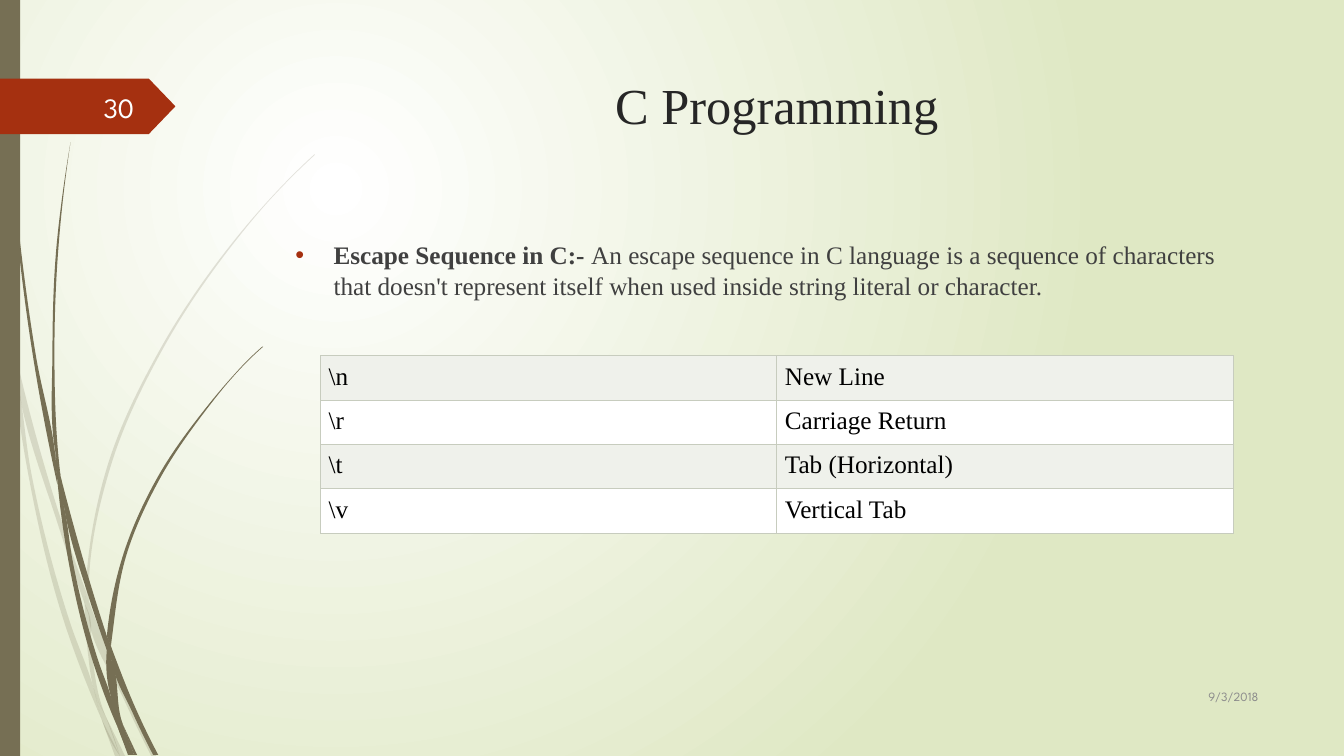
from math import dist
from lxml.etree import SubElement
from pptx import Presentation
from pptx.dml.color import RGBColor
from pptx.enum.shapes import MSO_SHAPE
from pptx.enum.text import MSO_ANCHOR, PP_ALIGN
from pptx.oxml import parse_xml
from pptx.oxml.ns import nsdecls, qn
from pptx.util import Inches, Pt

TITLE = "C Programming"
LEAD = "Escape Sequence in C:- "
BODY = ("An escape sequence in C language is a sequence of characters that "
        "doesn't represent itself when used inside string literal or character.")
CODES = [("\\n", "New Line"), ("\\r", "Carriage Return"),
         ("\\t", "Tab (Horizontal)"), ("\\v", "Vertical Tab")]
DATE, PAGE = "9/3/2018", "30"

THEME = dict(
    serif="Times New Roman", sans="League Spartan",
    title=36, text=18, page=20, date=9,
    ink="262626", body="404040", cell="000000", grey="8C8C8C", light="FEFFFF",
    stem="766F54", tag="A53010", glow="FFFFFF", field="DFE8C4",
    rule="C7CCBE", bands=("EFF1EB", "FFFFFF"))
WIDE, HIGH = 13.33, 7.5
LEFT, SPAN = 2.83, 9.75  # text column

# Each blade of grass is a pair of edges, both running from tip to root.
PALE = [
    ([(0, 2.82), (.09, 3.22), (.11, 3.5)], [(0, 2.99), (.1, 3.44), (.11, 3.5)]),
    ([(.14, 3.45), (.17, 3.76), (.58, 5.22), (.84, 5.99)],
     [(.14, 3.45), (.62, 5.2), (.85, 5.86)]),
    ([(.88, 5.96), (.88, 6.1), (1.23, 6.94), (1.5, 7.5)],
     [(.88, 5.96), (.92, 6.07), (1.27, 6.92), (1.55, 7.5)]),
    ([(1.05, 7.11), (1.19, 7.5)], [(1.05, 7.11), (1.24, 7.5)]),
    ([(.11, 3.5), (.28, 4.7), (.65, 6.21), (.92, 6.93), (1.01, 7.14)],
     [(.11, 3.5), (.17, 3.76), (.31, 4.69), (.7, 6.19), (.93, 6.83),
      (.99, 7.07), (1.01, 7.14)]),
    ([(.84, 5.99), (.87, 6.46), (.93, 6.83), (.96, 6.92), (1.05, 7.11)],
     [(.84, 5.99), (.88, 6.08), (.91, 6.46), (1.03, 7.06), (1.05, 7.11)]),
    ([(3.12, 1.53), (2.89, 1.75), (2.68, 1.97), (2.28, 2.44), (1.58, 3.48),
      (1.07, 4.61), (.85, 5.84)],
     [(3.12, 1.54), (2.9, 1.75), (2.68, 1.98), (2.29, 2.45), (1.6, 3.49),
      (1.1, 4.62), (.88, 5.84), (.88, 5.96)]),
    ([(1.01, 7.14), (1.14, 7.5)], [(1.01, 7.14), (1.19, 7.5)]),
    ([(.85, 5.86), (.84, 5.99)], [(.88, 5.96), (.88, 6.1)]),
    ([(.93, 6.83), (.99, 7.07), (1.01, 7.14), (1.19, 7.5)],
     [(.93, 6.83), (.96, 6.92), (1.05, 7.11), (1.19, 7.5)]),
]
DARK = [
    ([(.03, 0), (.04, .48), (.07, 1.1), (.17, 2.33), (.33, 3.55), (.57, 4.81)],
     [(.04, 0), (.05, .48), (.08, 1.09), (.19, 2.32), (.36, 3.55), (.55, 4.53),
      (.57, 4.81)]),
    ([(.6, 4.72), (.64, 5.05), (.88, 5.92), (1.06, 6.45)],
     [(.6, 4.72), (.93, 5.9), (1.06, 6.31)]),
    ([(1.1, 6.41), (1.11, 6.56), (1.32, 7.08), (1.52, 7.49)],
     [(1.1, 6.41), (1.13, 6.49), (1.36, 7.06), (1.57, 7.49)]),
    ([(.57, 4.77), (.68, 5.57), (.93, 6.59), (1.11, 7.08), (1.17, 7.22)],
     [(.57, 4.77), (.64, 5.05), (.72, 5.56), (.98, 6.57), (1.1, 6.91),
      (1.17, 7.22)]),
    ([(.7, 1.41), (.62, 1.93), (.56, 2.45), (.52, 3.49), (.55, 4.49), (.6, 4.72)],
     [(.7, 1.41), (.63, 1.93), (.58, 2.45), (.54, 3.49), (.58, 4.53), (.6, 4.72)]),
    ([(1.22, 7.19), (1.33, 7.49)], [(1.22, 7.19), (1.36, 7.49)]),
    ([(.55, 4.49), (.57, 4.77), (.64, 5.05)], [(.55, 4.49), (.6, 4.72), (.64, 5.05)]),
    ([(2.6, 3.44), (2.45, 3.58), (2.31, 3.73), (2.04, 4.05), (1.56, 4.74),
      (1.22, 5.51), (1.06, 6.31)],
     [(2.61, 3.44), (2.45, 3.59), (2.31, 3.74), (2.05, 4.06), (1.58, 4.76),
      (1.25, 5.52), (1.11, 6.33), (1.1, 6.41)]),
    ([(1.17, 7.22), (1.27, 7.49)], [(1.17, 7.22), (1.31, 7.49)]),
    ([(1.06, 6.45), (1.1, 6.91), (1.22, 7.19)],
     [(1.06, 6.45), (1.11, 6.56), (1.21, 7.16), (1.22, 7.19)]),
    ([(1.06, 6.31), (1.06, 6.45), (1.11, 6.56)],
     [(1.06, 6.31), (1.1, 6.41), (1.11, 6.56)]),
    ([(1.1, 6.91), (1.17, 7.22), (1.3, 7.49)],
     [(1.1, 6.91), (1.22, 7.19), (1.33, 7.49)]),
]


def color(name):
    """Look up a theme colour."""
    return RGBColor.from_string(THEME[name])


def bends(knots):
    """Give the two Bezier handles of each step along the knots."""
    steps = list(zip(knots, knots[1:]))
    gaps = [dist(p, q) for p, q in steps]
    rates = [[(b - a) / g for a, b in zip(p, q)] for (p, q), g in zip(steps, gaps)]
    mids = [[(h * a + g * b) / (g + h) for a, b in zip(u, v)]
            for u, v, g, h in zip(rates, rates[1:], gaps, gaps[1:])]
    if not mids:
        mids = rates
    ends = [[2 * a - b for a, b in zip(rates[i], mids[i])] for i in (0, -1)]
    slopes = [ends[0], *mids, ends[1]] if len(knots) > 2 else rates * 2
    return [([a + g * s / 3 for a, s in zip(p, u)],
             [a - g * s / 3 for a, s in zip(q, v)])
            for (p, q), g, u, v in zip(steps, gaps, slopes, slopes[1:])]


def paint(shape, name, alpha=None):
    """Give a shape a flat fill with no line or shadow."""
    shape.shadow.inherit = False
    shape.line.fill.background()
    shape.fill.solid()
    shape.fill.fore_color.rgb = color(name)
    if alpha:
        tint = shape.fill._xPr.find(".//" + qn("a:srgbClr"))
        SubElement(tint, qn("a:alpha"), val=str(alpha * 1000))


def blade(slide, edges, alpha=None):
    """Draw one blade of grass between its two edges."""
    left, right = edges[0], edges[1][::-1]
    joint = left[-1] == right[0]
    ring = [(Inches(x), Inches(y)) for x, y in left + right[joint:]]
    pen = slide.shapes.build_freeform(*ring[0])
    pen.add_line_segments(ring[1:], close=True)
    shape = pen.convert_to_shape()
    paint(shape, "stem", alpha)
    curves = bends(left) + ([] if joint else [None]) + bends(right)
    for line, pair in zip(list(shape._element.iter(qn("a:lnTo"))), curves):
        if pair:
            line.tag = qn("a:cubicBezTo")
            for n, (x, y) in enumerate(pair):
                line.insert(n, parse_xml(
                    f'<a:pt {nsdecls("a")} x="{Inches(x) - shape.left}" '
                    f'y="{Inches(y) - shape.top}"/>'))


def block(slide, kind, box, name):
    """Draw a flat preset shape."""
    shape = slide.shapes.add_shape(kind, *map(Inches, box))
    paint(shape, name)
    return shape


def write(para, text, size, ink, face="serif", bold=False):
    """Add one run to a paragraph."""
    run = para.add_run()
    run.text = text
    font = run.font
    font.name, font.size, font.bold = THEME[face], Pt(THEME[size]), bold
    font.color.rgb = color(ink)


def label(slide, box, align=PP_ALIGN.LEFT, anchor=MSO_ANCHOR.TOP):
    """Add a wrapping text box and return its paragraph."""
    frame = slide.shapes.add_textbox(*map(Inches, box)).text_frame
    frame.word_wrap, frame.vertical_anchor = True, anchor
    para = frame.paragraphs[0]
    para.alignment = align
    return para


def bullet(para, hang):
    """Hang a coloured bullet before a paragraph."""
    props = para._p.get_or_add_pPr()
    props.set("marL", str(Inches(hang)))
    props.set("indent", str(-Inches(hang)))
    tint = SubElement(props, qn("a:buClr"))
    SubElement(tint, qn("a:srgbClr"), val=THEME["tag"])
    SubElement(props, qn("a:buFont"), typeface="Arial")
    SubElement(props, qn("a:buChar"), char="•")


def backdrop(slide):
    """Set the round glow behind everything."""
    stops = "".join(f'<a:gs pos="{at}"><a:srgbClr val="{THEME[name]}"/></a:gs>'
                    for at, name in ((0, "glow"), (100000, "field")))
    slide._element.cSld.insert(0, parse_xml(
        f'<p:bg {nsdecls("p", "a")}><p:bgPr><a:gradFill><a:gsLst>{stops}</a:gsLst>'
        '<a:path path="circle"><a:fillToRect l="50000" t="50000" r="100000" '
        'b="100000"/></a:path></a:gradFill><a:effectLst/></p:bgPr></p:bg>'))


def grid(slide, rows, left, top, wide, step):
    """Add the banded table of escape codes."""
    box = map(Inches, (left, top, wide, step * len(rows)))
    table = slide.shapes.add_table(len(rows), len(rows[0]), *box).table
    table.first_row = table.horz_banding = False
    for i, row in enumerate(rows):
        for j, text in enumerate(row):
            cell = table.cell(i, j)
            cell.margin_left = cell.margin_right = Inches(.08)
            cell.margin_top = cell.margin_bottom = Inches(.07)
            write(cell.text_frame.paragraphs[0], text, "text", "cell")
            cell.fill.solid()
            cell.fill.fore_color.rgb = RGBColor.from_string(THEME["bands"][i % 2])
            for n, side in enumerate("LRTB"):
                cell._tc.tcPr.insert(n, parse_xml(
                    f'<a:ln{side} {nsdecls("a")} w="{Pt(.75)}"><a:solidFill>'
                    f'<a:srgbClr val="{THEME["rule"]}"/></a:solidFill></a:ln{side}>'))


def main():
    """Build the slide and save it."""
    deck = Presentation()
    deck.slide_width, deck.slide_height = Inches(WIDE), Inches(HIGH)
    slide = deck.slides.add_slide(deck.slide_layouts[6])
    backdrop(slide)
    for group, alpha in ((PALE, 20), (DARK, None)):
        for edges in group:
            blade(slide, edges, alpha)
    block(slide, MSO_SHAPE.RECTANGLE, (0, 0, .2, HIGH), "stem")
    tag = block(slide, MSO_SHAPE.PENTAGON, (0, .78, 1.74, .55), "tag")
    tag.adjustments[0] = .48

    write(label(slide, (LEFT, .69, SPAN, 1.4), PP_ALIGN.CENTER), TITLE, "title", "ink")
    para = label(slide, (LEFT, 2.33, SPAN, 4.13))
    bullet(para, .38)
    write(para, LEAD, "text", "body", bold=True)
    write(para, BODY, "text", "body")
    for box, text, size, ink in (((11.33, 6.7, 1.25, .41), DATE, "date", "grey"),
                                 ((.58, .86, .85, .4), PAGE, "page", "light")):
        write(label(slide, box, PP_ALIGN.RIGHT, MSO_ANCHOR.MIDDLE), text, size, ink, "sans")
    grid(slide, CODES, 3.18, 3.53, 9.05, .44)
    deck.save("out.pptx")


main()
